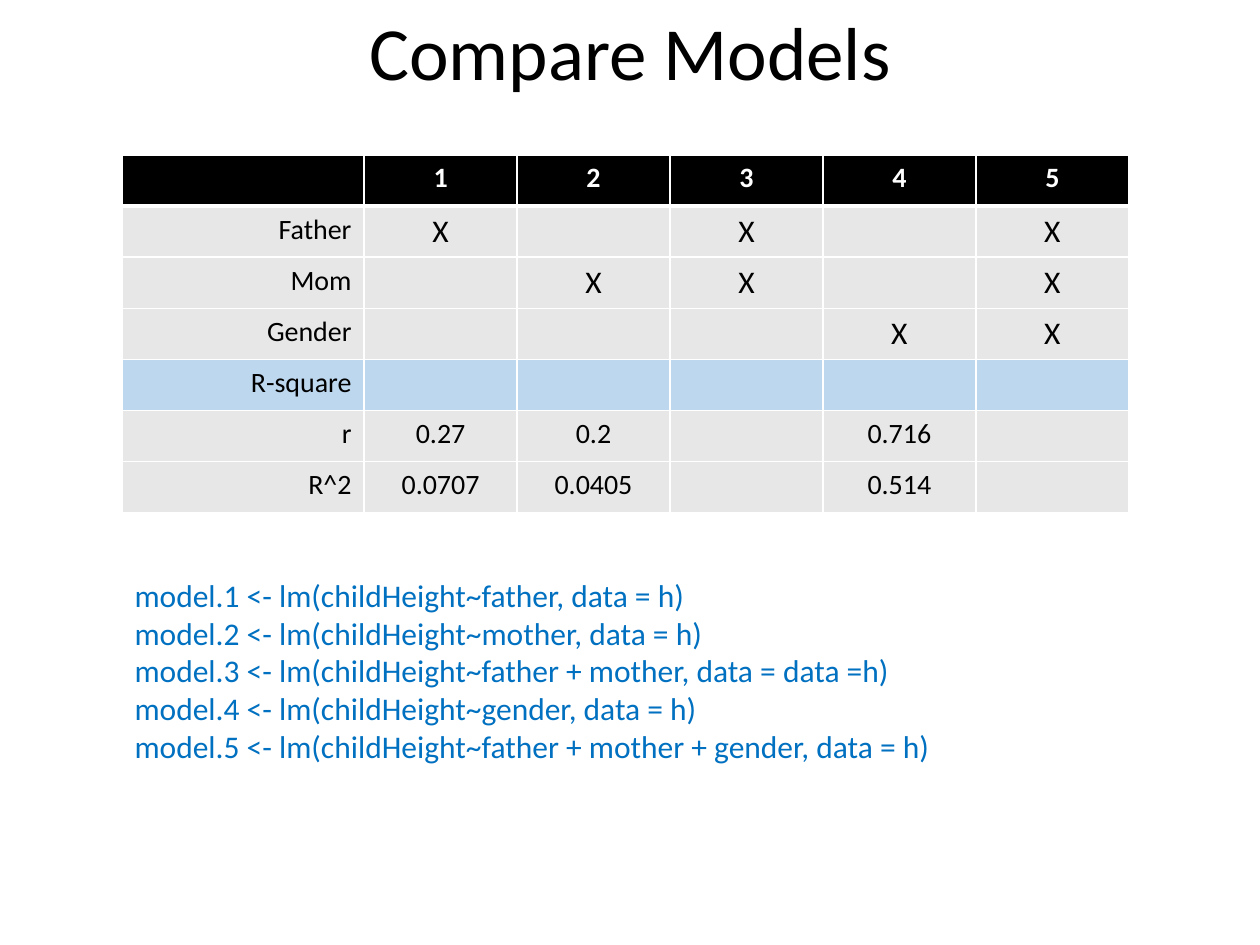
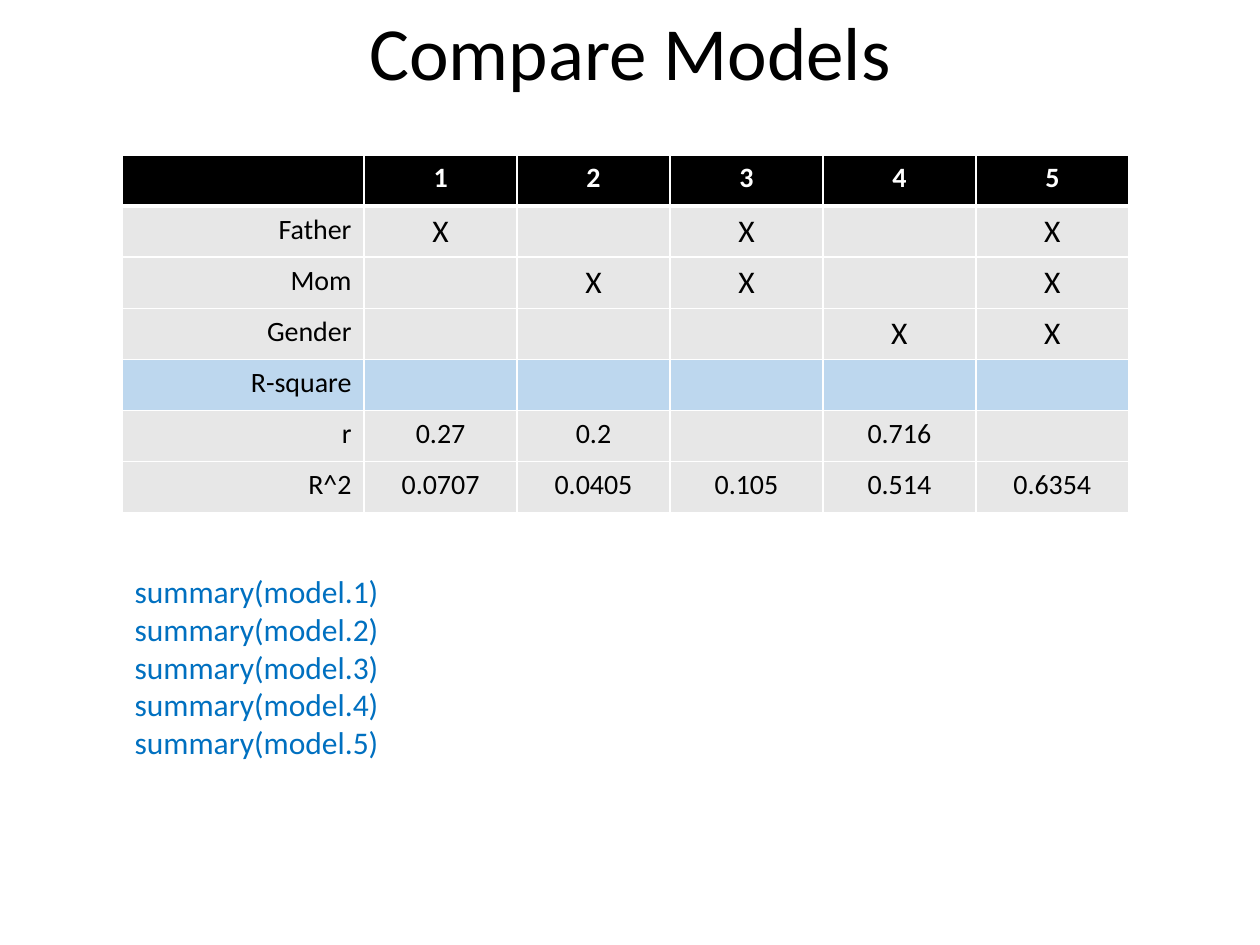
from dataclasses import dataclass

from lxml.etree import SubElement
from pptx import Presentation
from pptx.dml.color import RGBColor as RGB
from pptx.enum.text import MSO_ANCHOR as Anchor, MSO_AUTO_SIZE as AutoSize, PP_ALIGN as Align
from pptx.oxml.ns import qn
from pptx.util import Inches, Pt


@dataclass(frozen=True)
class Theme:
    font: str = "Calibri"
    black: RGB = RGB(0x00, 0x00, 0x00)
    white: RGB = RGB(0xFF, 0xFF, 0xFF)
    grey: RGB = RGB(0xE7, 0xE7, 0xE7)
    highlight: RGB = RGB(0xBD, 0xD7, 0xEE)
    code: RGB = RGB(0x00, 0x70, 0xC0)
    title_size: float = 42.9
    table_size: float = 16
    mark_size: float = 18
    code_size: float = 18
    border: float = 1
    header_border: float = 3


THEME = Theme()

TITLE = "Compare Models"
MODELS = ["1", "2", "3", "4", "5"]
PREDICTORS = {"Father": "135", "Mom": "235", "Gender": "45"}
SECTION = "R-square"
CORRELATIONS = {"1": "0.27", "2": "0.2", "4": "0.716"}
SINGLE_R2 = {"1": "0.0707", "2": "0.0405", "4": "0.514"}
ALL_R2 = SINGLE_R2 | {"3": "0.105", "5": "0.6354"}

FIT_CODE = [
    "model.1 <- lm(childHeight~father, data = h)",
    "model.2 <- lm(childHeight~mother, data = h)",
    "model.3 <- lm(childHeight~father + mother, data = data =h)",
    "model.4 <- lm(childHeight~gender, data = h)",
    "model.5 <- lm(childHeight~father + mother + gender, data = h)",
]
SUMMARY_CODE = [f"summary(model.{model})" for model in MODELS]

# R^2 values, code lines, code box (left, top, width, height), top inset
SLIDES = [
    (SINGLE_R2, FIT_CODE, (0.97, 4.22, 8.06, 2.22), 0.35),
    (ALL_R2, SUMMARY_CODE, (0.97, 4.49, 2.63, 1.62), 0.05),
]
TITLE_BOX = (0, 0, 10, 0.8)
TABLE_BOX = (0.97, 1.23, 7.99, 2.84)
LABEL_WIDTH = 1.92


def inches(box):
    return [Inches(length) for length in box]


def style(paragraph, size, color, align=Align.LEFT, bold=False):
    paragraph.alignment = align
    font = paragraph.font
    font.name, font.size, font.bold = THEME.font, Pt(size), bold
    font.color.rgb = color


def add_title(slide):
    title = slide.shapes.title
    title.left, title.top, title.width, title.height = inches(TITLE_BOX)
    frame = title.text_frame
    frame.text = TITLE
    frame.auto_size = AutoSize.NONE
    frame.vertical_anchor = Anchor.MIDDLE
    style(frame.paragraphs[0], THEME.title_size, THEME.black, Align.CENTER)


def set_borders(cell, top, bottom):
    """Draw white cell borders; call before filling, as the schema puts lines first."""
    properties = cell._tc.get_or_add_tcPr()
    widths = {"lnL": THEME.border, "lnR": THEME.border, "lnT": top, "lnB": bottom}
    for side, width in widths.items():
        line = SubElement(properties, qn(f"a:{side}"), w=str(Pt(width)))
        fill = SubElement(line, qn("a:solidFill"))
        SubElement(fill, qn("a:srgbClr"), val=str(THEME.white))


def comparison_rows(r_squared):
    marks = [
        [name] + ["X" if model in used else "" for model in MODELS]
        for name, used in PREDICTORS.items()
    ]
    values = [
        [name] + [results.get(model, "") for model in MODELS]
        for name, results in (("r", CORRELATIONS), ("R^2", r_squared))
    ]
    return [["", *MODELS], *marks, [SECTION] + [""] * len(MODELS), *values]


def add_comparison(slide, r_squared):
    rows = comparison_rows(r_squared)
    table = slide.shapes.add_table(len(rows), len(rows[0]), *inches(TABLE_BOX)).table
    model_width = (TABLE_BOX[2] - LABEL_WIDTH) / len(MODELS)
    for i, column in enumerate(table.columns):
        column.width = Inches(model_width if i else LABEL_WIDTH)

    for r, row in enumerate(rows):
        header = r == 0
        background = (THEME.black if header
                      else THEME.highlight if row[0] == SECTION else THEME.grey)
        top = THEME.header_border if r == 1 else THEME.border
        bottom = THEME.header_border if header else THEME.border
        for c, text in enumerate(row):
            cell = table.cell(r, c)
            set_borders(cell, top, bottom)
            cell.fill.solid()
            cell.fill.fore_color.rgb = background
            cell.text = text
            style(cell.text_frame.paragraphs[0],
                  THEME.mark_size if text == "X" else THEME.table_size,
                  THEME.white if header else THEME.black,
                  Align.CENTER if c else Align.RIGHT, header)


def add_code(slide, lines, box, top_inset):
    frame = slide.shapes.add_textbox(*inches(box)).text_frame
    frame.word_wrap = True
    frame.margin_top = Inches(top_inset)
    frame.text = "\n".join(lines)
    for paragraph in frame.paragraphs:
        style(paragraph, THEME.code_size, THEME.code)


def main():
    deck = Presentation()
    deck.slide_width, deck.slide_height = Inches(10), Inches(7.5)
    title_only = deck.slide_layouts[5]
    for r_squared, code, code_box, top_inset in SLIDES:
        slide = deck.slides.add_slide(title_only)
        add_title(slide)
        add_comparison(slide, r_squared)
        add_code(slide, code, code_box, top_inset)
    deck.save("out.pptx")


if __name__ == "__main__":
    main()
